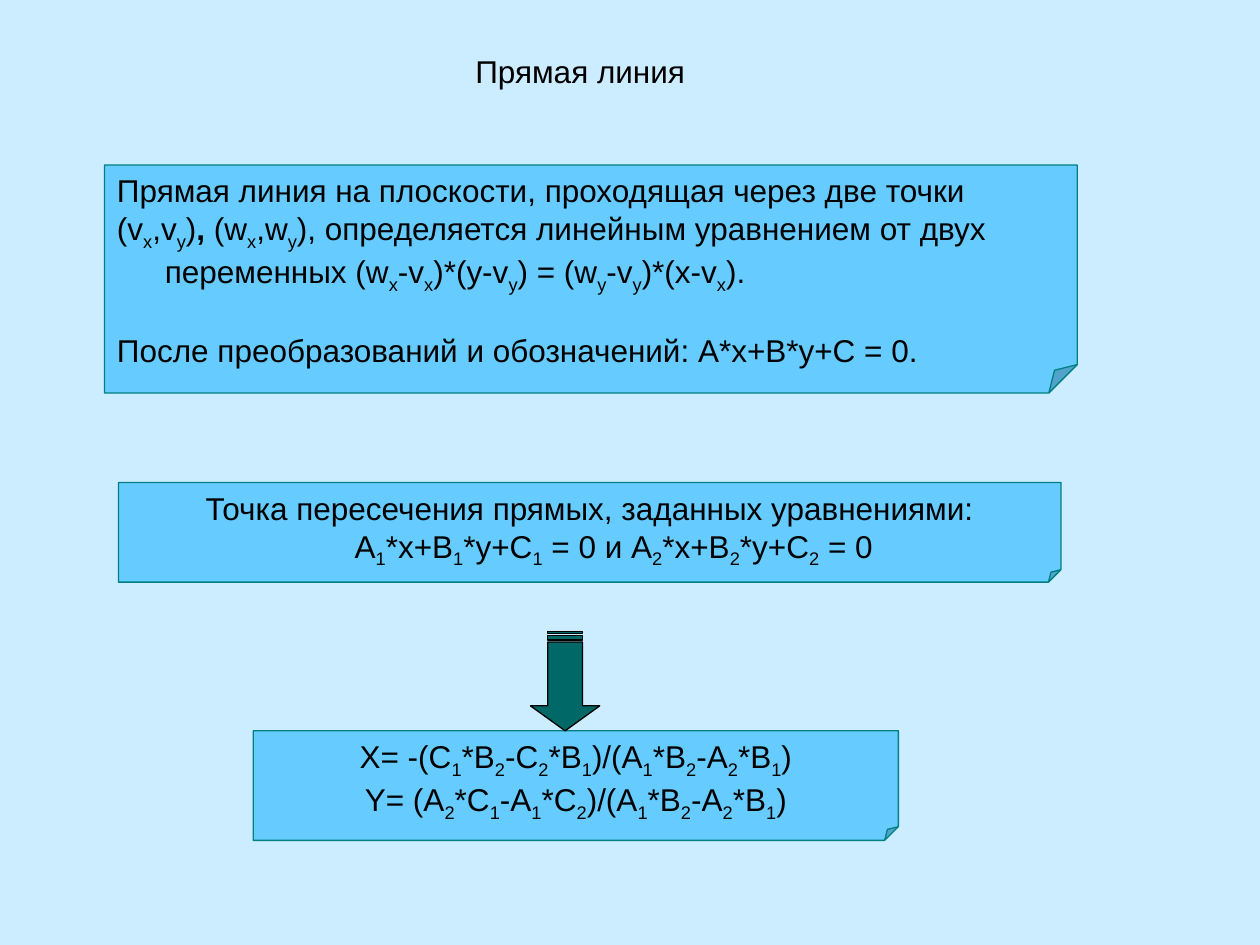
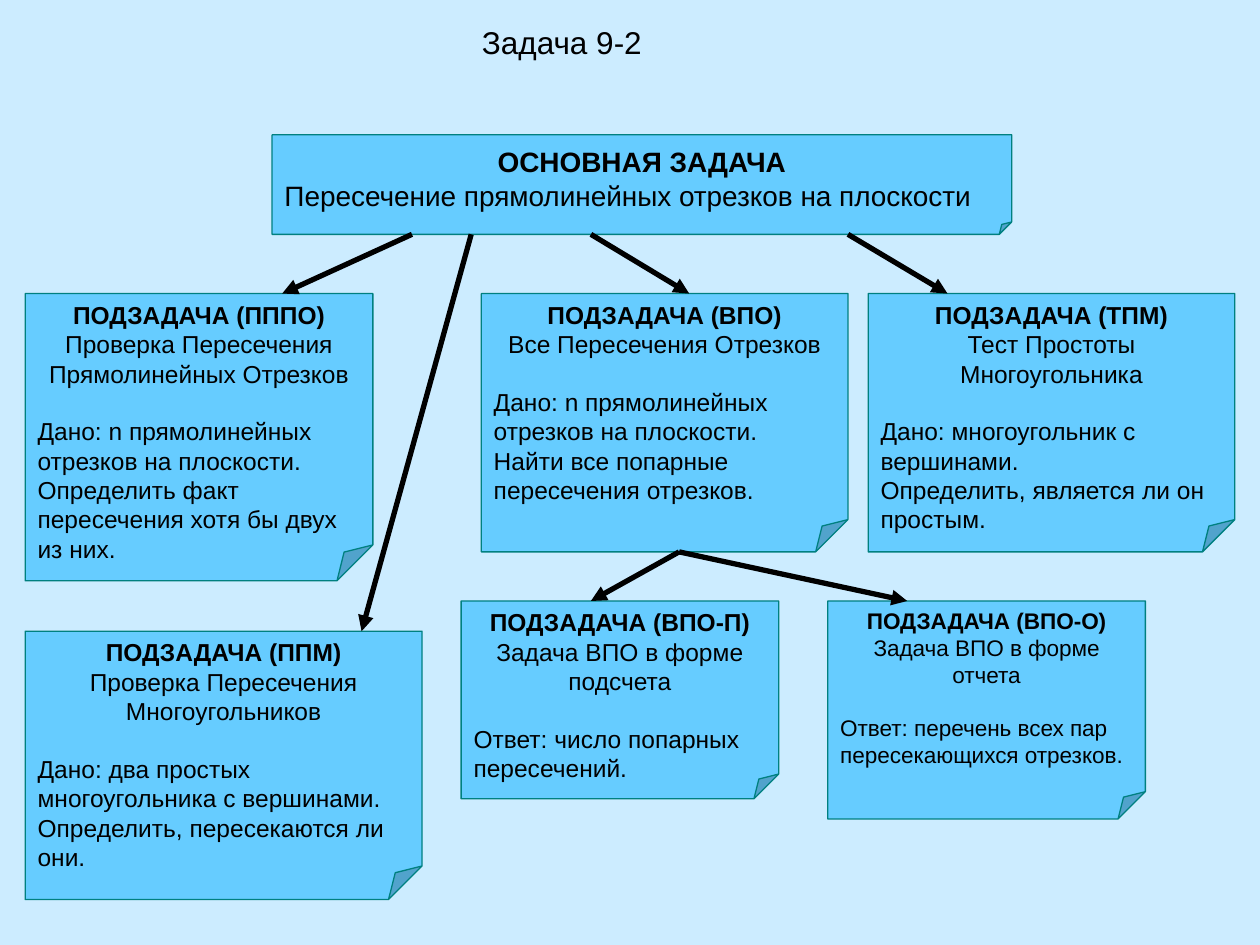
"""Build two slides on straight lines and segment intersection tasks."""
from lxml.etree import SubElement as Sub
from pptx import Presentation
from pptx.dml.color import RGBColor as RGB
from pptx.enum.shapes import MSO_CONNECTOR as Link, MSO_SHAPE as Shape
from pptx.enum.text import MSO_ANCHOR as Anchor, PP_ALIGN as Align
from pptx.oxml.ns import qn
from pptx.util import Inches, Pt

HUES = {"back": "CCECFF", "note": "66CCFF", "edge": "008080",
        "arrow": "006866", "ink": "000000"}
FACE = "Arial"
HANG = Inches(0.38)
LEADING = 1.15


def hue(name):
    return RGB.from_string(HUES[name])


def box(at):
    return [Inches(n) for n in at]


def paint(item, fill, edge):
    item.shadow.inherit = False
    item.fill.solid()
    item.fill.fore_color.rgb = hue(fill)
    item.line.color.rgb = hue(edge)
    item.line.width = Pt(0.75)


def style(para, size, align=Align.LEFT, bold=False, gap=False):
    para.alignment = align
    para.space_before = Pt(round(size * LEADING, 1) if gap else 0)
    font = para.font
    font.name, font.size, font.bold = FACE, Pt(size), bold
    font.color.rgb = hue("ink")


def write(para, text):
    """Add runs: |text| is bold and _x lowers the letter x."""
    for turn, part in enumerate(text.split("|")):
        plain, *marked = part.split("_")
        bits = [(plain, False)]
        for mark in marked:
            bits += [(mark[0], True), (mark[1:], False)]
        for bit, low in bits:
            if not bit:
                continue
            run = para.add_run()
            run.text = bit
            if turn % 2:
                run.font.bold = True
            if low:
                run._r.get_or_add_rPr().set("baseline", "-25000")


def page(deck, title, at):
    slide = deck.slides.add_slide(deck.slide_layouts[5])
    head = slide.shapes.title
    head.left, head.top, head.width, head.height = box(at)
    frame = head.text_frame
    frame.text = title
    frame.vertical_anchor = Anchor.TOP
    style(frame.paragraphs[0], 18, Align.CENTER)
    return slide


def note(slide, at, anchor=Anchor.TOP):
    item = slide.shapes.add_shape(Shape.FOLDED_CORNER, *box(at))
    guides = item._element.spPr.find(qn("a:prstGeom")).get_or_add_avLst()
    Sub(guides, qn("a:gd"), name="adj", fmla="val 12500")
    paint(item, "note", "edge")
    frame = item.text_frame
    frame.word_wrap = True
    frame.vertical_anchor = anchor
    return frame


def fill(frame, lines):
    """Write (text, style options) pairs as paragraphs."""
    for i, (text, look) in enumerate(lines):
        para = frame.add_paragraph() if i else frame.paragraphs[0]
        write(para, text)
        style(para, **look)


def maths(slide, at, lines, align=Align.LEFT, gap=None):
    frame = note(slide, at)
    fill(frame, [(text, {"size": 18, "align": align, "gap": i == gap})
                 for i, text in enumerate(lines)])
    for para in frame.paragraphs:
        props = para._p.get_or_add_pPr()
        props.set("marL", str(HANG))
        props.set("indent", str(-HANG))


def task(slide, at, code, name, *facts, size=14):
    lines = [(f"ПОДЗАДАЧА ({code})",
              {"size": size, "align": Align.CENTER, "bold": True}),
             (name, {"size": size, "align": Align.CENTER})]
    lines += [(fact, {"size": size, "gap": i == 0})
              for i, fact in enumerate(facts)]
    fill(note(slide, at), lines)


def arrow(slide, start, end):
    line = slide.shapes.add_connector(Link.STRAIGHT, *box(start + end))
    line.line.color.rgb = hue("ink")
    line.line.width = Pt(3)
    Sub(line.line._get_or_add_ln(), qn("a:tailEnd"), type="triangle")
    Sub(line._element.spPr, qn("a:effectLst"))


def lines(deck):
    slide = page(deck, "Прямая линия", (2.4, 0.36, 4.41, 0.71))
    maths(slide, (0.83, 1.31, 7.72, 1.81), [
        "Прямая линия на плоскости, проходящая через две точки",
        "(v_x,v_y)|, |(w_x,w_y), определяется линейным уравнением от двух "
        "переменных (w_x-v_x)*(y-v_y) = (w_y-v_y)*(x-v_x).",
        "После преобразований и обозначений: A*x+B*y+C = 0."], gap=2)
    maths(slide, (0.94, 3.83, 7.48, 0.79), [
        "Точка пересечения прямых, заданных уравнениями: "
        "A_1*x+B_1*y+C_1 = 0 и A_2*x+B_2*y+C_2 = 0"], Align.CENTER)
    maths(slide, (2.01, 5.8, 5.12, 0.87), [
        "X= -(C_1*B_2-C_2*B_1)/(A_1*B_2-A_2*B_1)",
        "Y= (A_2*C_1-A_1*C_2)/(A_1*B_2-A_2*B_1)"], Align.CENTER)
    down = slide.shapes.add_shape(Shape.STRIPED_RIGHT_ARROW,
                                  *box((4.09, 5.13, 0.79, 0.55)))
    down.rotation = 90
    down.adjustments[0], down.adjustments[1] = 0.5, 0.36
    paint(down, "arrow", "ink")


def tasks(deck):
    slide = page(deck, "Задача 9-2", (2.66, 0.13, 3.6, 0.68))
    fill(note(slide, (2.16, 1.07, 5.87, 0.79), Anchor.MIDDLE), [
        ("ОСНОВНАЯ ЗАДАЧА",
         {"size": 16, "align": Align.CENTER, "bold": True}),
        ("Пересечение прямолинейных отрезков на плоскости", {"size": 16})])
    base, row, foot, low = 1.86, 2.33, 4.38, 4.77
    given = "Дано: n прямолинейных отрезков на плоскости."
    task(slide, (0.2, row, 2.76, 2.28), "ПППО",
         "Проверка Пересечения Прямолинейных Отрезков", given,
         "Определить факт пересечения хотя бы двух из них.")
    task(slide, (3.82, row, 2.91, foot - row), "ВПО",
         "Все Пересечения Отрезков", given,
         "Найти все попарные пересечения отрезков.")
    task(slide, (6.89, row, 2.91, foot - row), "ТПМ",
         "Тест Простоты Многоугольника", "Дано: многоугольник с вершинами.",
         "Определить, является ли он простым.")
    task(slide, (3.66, low, 2.52, 1.57), "ВПО-П",
         "Задача ВПО в форме подсчета", "Ответ: число попарных пересечений.")
    task(slide, (6.57, low, 2.52, 1.73), "ВПО-О",
         "Задача ВПО в форме отчета",
         "Ответ: перечень всех пар пересекающихся отрезков.", size=12.9)
    task(slide, (0.2, 5.01, 3.15, 2.13), "ППМ",
         "Проверка Пересечения Многоугольников",
         "Дано: два простых многоугольника с вершинами.",
         "Определить, пересекаются ли они.")
    for x, end in ((3.27, (2.24, row)), (3.74, (2.87, 5.01)),
                   (4.69, (5.47, row)), (6.73, (7.52, row))):
        arrow(slide, (x, base), end)
    for x in (4.69, 7.2):
        arrow(slide, (5.39, foot), (x, low))


def main():
    deck = Presentation()
    deck.slide_width, deck.slide_height = Inches(10), Inches(7.5)
    back = deck.slide_master.background.fill
    back.solid()
    back.fore_color.rgb = hue("back")
    lines(deck)
    tasks(deck)
    deck.save("out.pptx")


if __name__ == "__main__":
    main()
